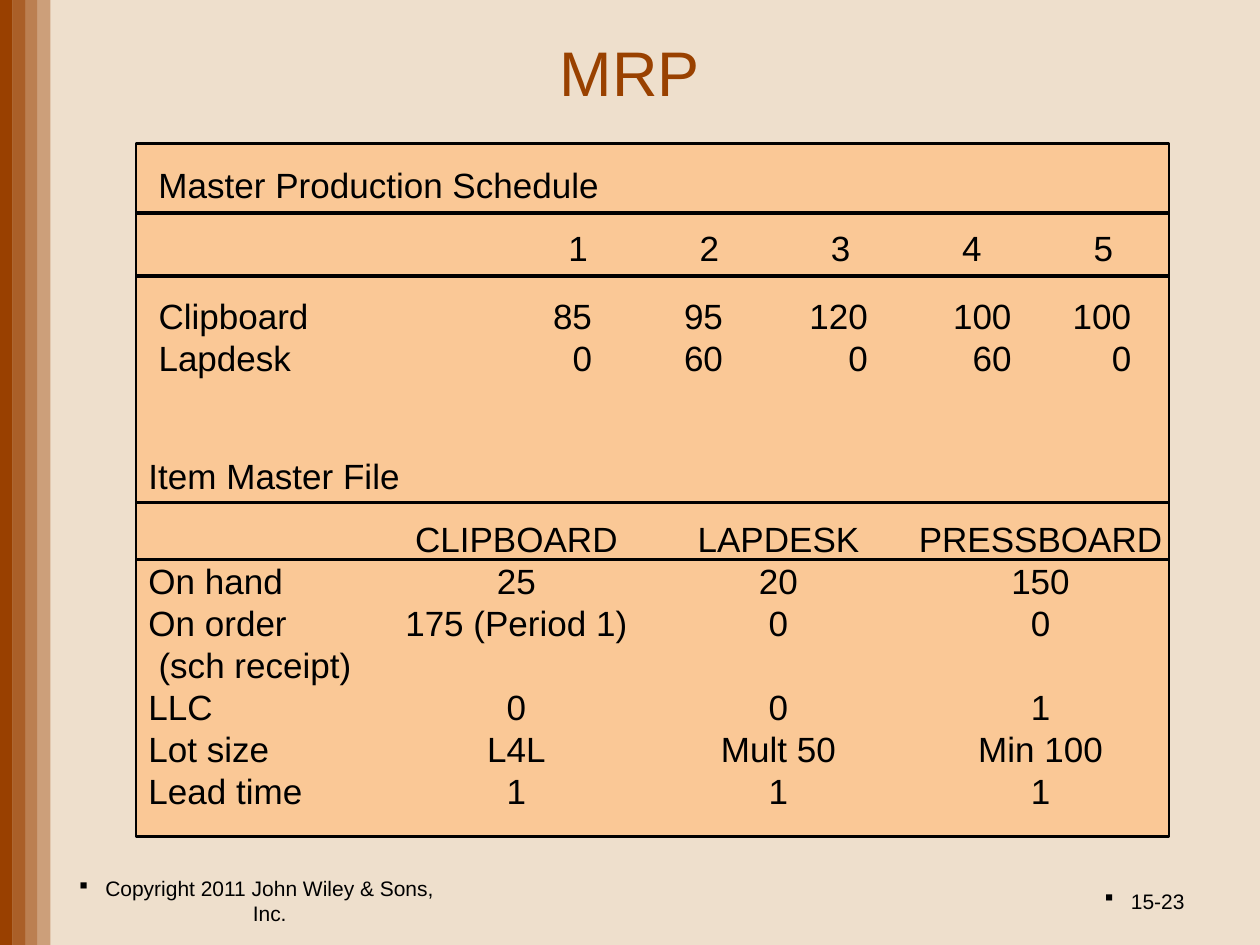
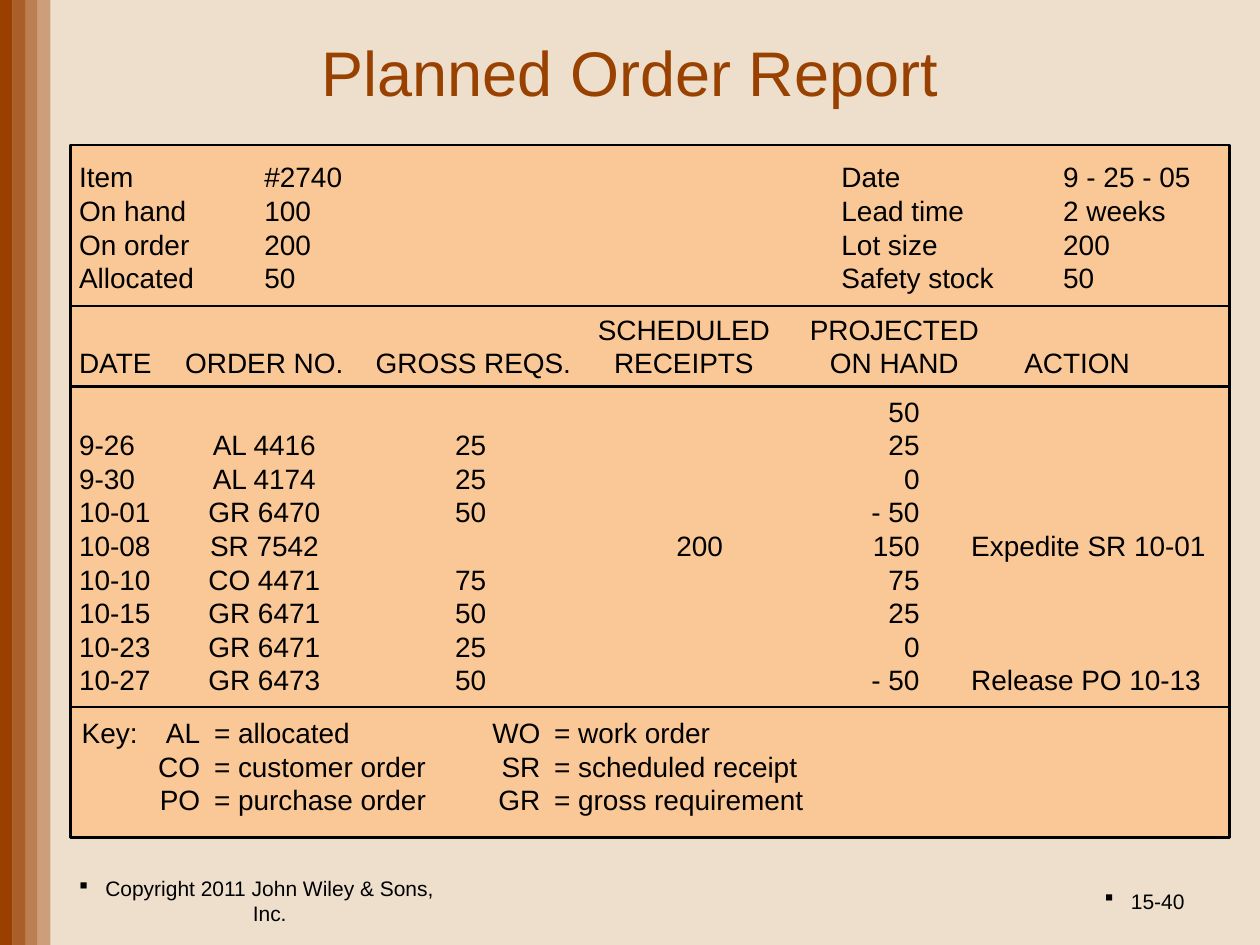
from dataclasses import dataclass

from lxml import etree
from pptx import Presentation
from pptx import util as u
from pptx.dml.color import RGBColor
from pptx.enum import shapes, text
from pptx.oxml.ns import qn

# Grid: 100 columns by 75 rows over the whole slide
WIDTH, HEIGHT = u.Inches(10), u.Inches(7.5)
COLUMNS, ROWS = 100, 75


@dataclass(frozen=True)
class Theme:
    background: str = "EEDFCC"
    band: str = "994000"
    title: str = "994100"
    panel: str = "FAC896"
    ink: str = "000000"
    font: str = "Arial"
    title_size: int = 36
    schedule_size: int = 20
    report_size: int = 16
    footer_size: int = 12


THEME = Theme()


@dataclass(frozen=True)
class Box:
    left: float
    top: float
    width: float
    height: float

    def inside(self, left, top, width, height):
        """A box placed from this box's top left corner."""
        return Box(self.left + left, self.top + top, width, height)

    def emu(self):
        return (across(self.left), down(self.top),
                across(self.width), down(self.height))


def across(columns):
    return round(WIDTH * columns / COLUMNS)


def down(rows):
    return round(HEIGHT * rows / ROWS)


def color(name):
    return RGBColor.from_string(name)


# Text
def add_tabs(paragraph, tabs):
    tab_list = etree.SubElement(paragraph._p.get_or_add_pPr(), qn("a:tabLst"))
    for position, alignment in tabs:
        etree.SubElement(tab_list, qn("a:tab"),
                         pos=str(across(position)), algn=alignment)


def add_bullet(paragraph, hanging):
    properties = paragraph._p.get_or_add_pPr()
    properties.set("marL", str(across(hanging)))
    properties.set("indent", str(-across(hanging)))
    etree.SubElement(properties, qn("a:buFont"), typeface="Wingdings")
    etree.SubElement(properties, qn("a:buChar"), char="§")


def add_text(slide, box, lines, size, ink=THEME.ink, align="LEFT",
             anchor="TOP", tabs=(), spacing=None, indents=None, bullet=0,
             left_inset=1):
    """spacing and indents map a line's index to its own value."""
    shape = slide.shapes.add_textbox(*box.emu())
    frame = shape.text_frame
    frame.word_wrap = True
    frame.margin_left = across(left_inset)
    frame.vertical_anchor = getattr(text.MSO_ANCHOR, anchor)
    for index, line in enumerate(lines):
        paragraph = frame.add_paragraph() if index else frame.paragraphs[0]
        if bullet:
            add_bullet(paragraph, bullet)
        if tabs:
            add_tabs(paragraph, tabs)
        paragraph.alignment = getattr(text.PP_ALIGN, align)
        paragraph.line_spacing = (spacing or {}).get(index)
        if index in (indents or {}):
            paragraph._p.get_or_add_pPr().set(
                "marL", str(across(indents[index])))
        run = paragraph.add_run()
        run.text = line
        run.font.name = THEME.font
        run.font.size = u.Pt(size)
        run.font.color.rgb = color(ink)


# Shapes
def add_rectangle(slide, box, fill, line_width=0, opacity=100):
    shape = slide.shapes.add_shape(shapes.MSO_SHAPE.RECTANGLE, *box.emu())
    shape.shadow.inherit = False
    shape.fill.solid()
    shape.fill.fore_color.rgb = color(fill)
    if opacity < 100:
        fill_color = shape._element.spPr.find(
            qn("a:solidFill")).find(qn("a:srgbClr"))
        etree.SubElement(fill_color, qn("a:alpha"), val=str(opacity * 1000))
    if line_width:
        shape.line.color.rgb = color(THEME.ink)
        shape.line.width = u.Pt(line_width)
    else:
        shape.line.fill.background()


def add_rules(slide, box, offsets, line_width):
    """Horizontal lines across the box, at rows from its top."""
    for offset in offsets:
        y = down(box.top + offset)
        connector = slide.shapes.add_connector(
            shapes.MSO_CONNECTOR.STRAIGHT,
            across(box.left), y, across(box.left + box.width), y)
        connector.line.color.rgb = color(THEME.ink)
        connector.line.width = u.Pt(line_width)
        etree.SubElement(connector._element.spPr, qn("a:effectLst"))


# Parts every slide shares
def add_frame(presentation, title, number):
    slide = presentation.slides.add_slide(presentation.slide_layouts[6])
    for index in range(4):
        add_rectangle(slide, Box(index, 0, 1, ROWS), THEME.band,
                      opacity=100 - 20 * index)
    add_text(slide, Box(7.5, 1.1, 85, 9.1), [title], THEME.title_size,
             ink=THEME.title, align="CENTER", anchor="MIDDLE")
    footer = Box(5, 69.5, 90, 4)
    add_text(slide, footer.inside(0, 0, 31.7, 4),
             ["Copyright 2011 John Wiley & Sons, Inc."], THEME.footer_size,
             align="CENTER", anchor="MIDDLE", bullet=2.1, left_inset=0)
    add_text(slide, footer.inside(66.7, 0, 23.3, 4), [number],
             THEME.footer_size, align="RIGHT", anchor="MIDDLE", bullet=2.1)
    return slide


# Master production schedule, with periods 1 to 5
def add_production_schedule(slide, box):
    periods = [(33.3 + 10.42 * index, "ctr") for index in range(5)]
    add_text(slide, box.inside(0.8, -0.6, 85, 10.5),
             ["Master Production Schedule", "\t1\t2\t3\t4\t5"],
             THEME.schedule_size, tabs=periods, spacing={0: 1.5, 1: 1.5})
    quantities = [(stop, "r") for stop in (34.4, 44.8, 56.3, 67.7, 77.2)]
    add_text(slide, box.inside(0.8, 11.5, 83.9, 7.7),
             ["Clipboard\t85\t95\t120\t100\t100",
              "Lapdesk\t0\t60\t0\t60\t0"],
             THEME.schedule_size, tabs=quantities)
    add_rules(slide, box, (5.5, 10.5), 2)


# Item master file, with one column for each item
def add_item_file(slide, box):
    items = [(29.2 + 20.8 * index, "ctr") for index in range(3)]
    add_text(slide, box.inside(0, 0, 83.2, 31),
             ["Item Master File",
              "\tCLIPBOARD\tLAPDESK\tPRESSBOARD",
              "On hand\t25\t20\t150",
              "On order\t175 (Period 1)\t0\t0",
              "(sch receipt)",
              "LLC\t0\t0\t1",
              "Lot size\tL4L\tMult 50\tMin 100",
              "Lead time\t1\t1\t1"],
             THEME.schedule_size, tabs=items,
             spacing={0: 1.5, 1: 1.5}, indents={4: 0.8})
    add_rules(slide, box, (6, 10.5), 2)


def build_schedule_slide(presentation):
    slide = add_frame(presentation, "MRP", "15-23")
    panel = Box(10.8, 11.4, 82, 55)
    add_rectangle(slide, panel, THEME.panel, line_width=1.5)
    add_production_schedule(slide, panel)
    add_item_file(slide, panel.inside(0, 22.5, 82, 32.5))


# Report sections: item facts, column heads, orders and key
def add_item_facts(slide, box):
    add_text(slide, box,
             ["Item\t#2740\tDate\t9 - 25 - 05",
              "On hand\t100\tLead time\t2 weeks",
              "On order\t200\tLot size\t200",
              "Allocated\t50\tSafety stock\t50"],
             THEME.report_size,
             tabs=[(14.7, "l"), (60.5, "l"), (78.1, "l")])


def add_order_heads(slide, box):
    heads = [(stop, "ctr") for stop in (14.7, 31.3, 48, 64.7, 79.2)]
    add_text(slide, box,
             ["\t\t\tSCHEDULED\tPROJECTED",
              "DATE\tORDER NO.\tGROSS REQS.\tRECEIPTS\tON HAND\tACTION"],
             THEME.report_size, tabs=heads)


def add_orders(slide, box):
    add_text(slide, box,
             ["\t\t\t\t50",
              "9-26\tAL 4416\t25\t\t25",
              "9-30\tAL 4174\t25\t\t0",
              "10-01\tGR 6470\t50\t\t- 50",
              "10-08\tSR 7542\t\t200\t150\tExpedite SR 10-01",
              "10-10\tCO 4471\t75\t\t75",
              "10-15\tGR 6471\t50\t\t25",
              "10-23\tGR 6471\t25\t\t0",
              "10-27\tGR 6473\t50\t\t- 50\tRelease PO 10-13"],
             THEME.report_size,
             tabs=[(14.7, "ctr"), (32.3, "r"), (51.1, "r"),
                   (66.7, "r"), (70.8, "l")])


def add_key(slide, box):
    add_text(slide, box,
             ["Key:\tAL\t= allocated\tWO\t= work order",
              "\tCO\t= customer order\tSR\t= scheduled receipt",
              "\tPO\t= purchase order\tGR\t= gross requirement"],
             THEME.report_size,
             tabs=[(9.4, "r"), (10.5, "l"), (36.4, "r"), (37.5, "l")])


def build_report_slide(presentation):
    slide = add_frame(presentation, "Planned Order Report", "15-40")
    panel = Box(5.6, 11.5, 92, 55)
    add_rectangle(slide, panel, THEME.panel, line_width=1.5)
    add_item_facts(slide, panel.inside(-0.3, 0.7, 91.1, 11.7))
    add_order_heads(slide, panel.inside(-0.3, 12.8, 86.3, 6.4))
    add_orders(slide, panel.inside(-0.3, 19.3, 93, 25.2))
    add_key(slide, panel.inside(-0.1, 44.8, 61.5, 9.1))
    add_rules(slide, panel, (12.8, 19.2, 44.6), 1.5)


def main():
    presentation = Presentation()
    presentation.slide_width, presentation.slide_height = WIDTH, HEIGHT
    background = presentation.slide_master.background.fill
    background.solid()
    background.fore_color.rgb = color(THEME.background)
    build_schedule_slide(presentation)
    build_report_slide(presentation)
    presentation.save("out.pptx")


if __name__ == "__main__":
    main()
